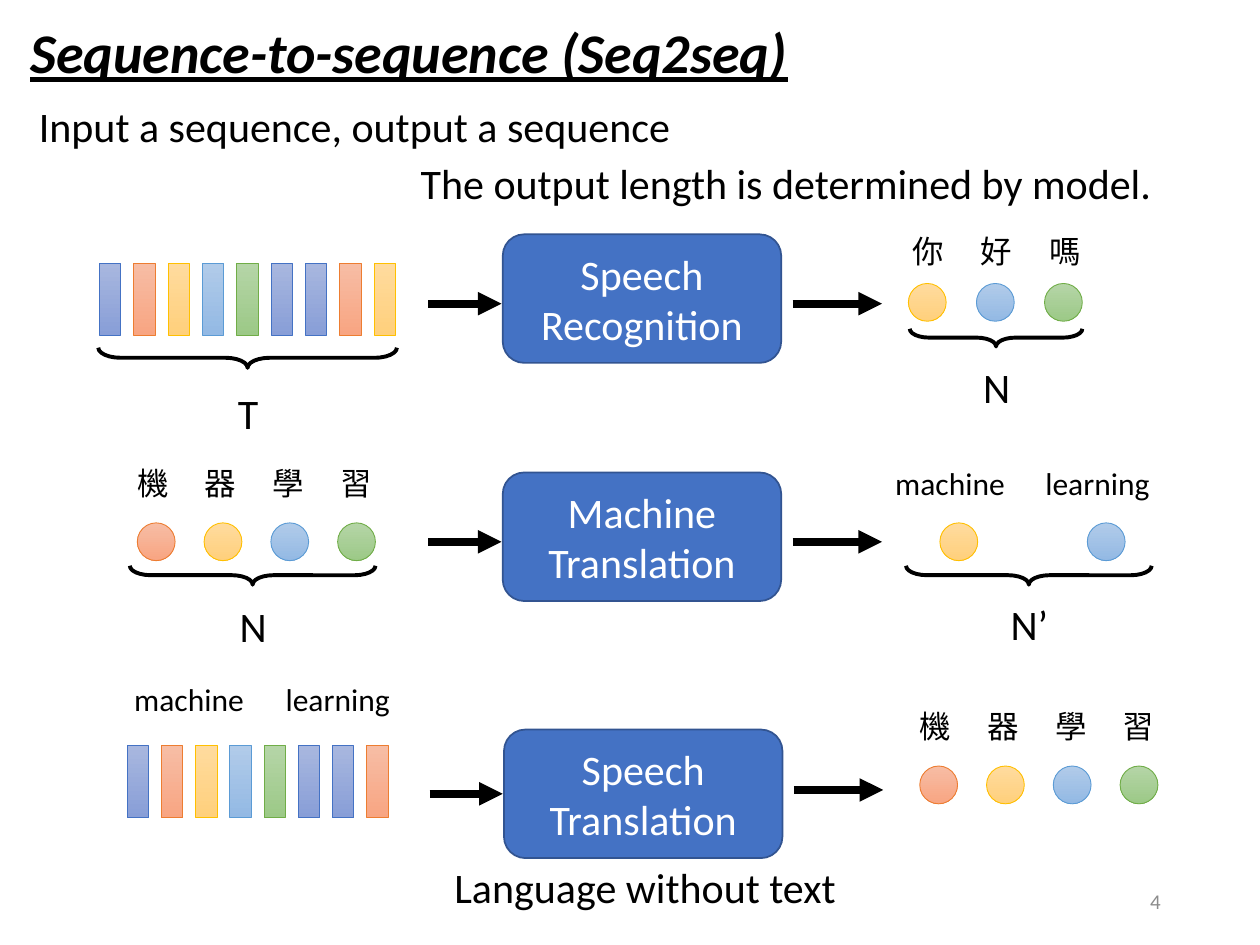
import dataclasses

import pptx
import pptx.dml.color
import pptx.enum.dml
import pptx.enum.shapes
import pptx.enum.text
import pptx.oxml.ns
import pptx.util
from lxml import etree
from pptx.util import Inches

ALIGN = pptx.enum.text.PP_ALIGN
ANCHOR = pptx.enum.text.MSO_ANCHOR
SHAPE = pptx.enum.shapes.MSO_SHAPE


@dataclasses.dataclass(frozen=True)
class Theme:
    """Hold the colours, font and type sizes of the slide."""
    font: str = "Calibri"
    ink: str = "000000"
    white: str = "FFFFFF"
    muted: str = "8C8C8C"
    model_fill: str = "4472C4"
    model_line: str = "325491"
    title_size: int = 32
    text_size: int = 24
    label_size: int = 18
    number_size: int = 12
    tokens: tuple = (
        ("indigo", ("A8B7DF", "889ED7", "4472C4")),
        ("orange", ("F7BDA5", "F8A582", "ED7D31")),
        ("gold", ("FFDB9E", "FFD07C", "FFC000")),
        ("blue", ("B1CBE9", "93B9E4", "5B9BD5")),
        ("green", ("B5D5A7", "9CC987", "70AD47")),
    )


@dataclasses.dataclass(frozen=True)
class Box:
    """Describe a rectangle in inches."""
    left: float
    top: float
    width: float
    height: float

    def lengths(self):
        """Return the four lengths for a shape call."""
        return [Inches(value) for value in (self.left, self.top, self.width, self.height)]

    def spread(self, count, width):
        """Return equally spaced boxes of one width across this box."""
        pitch = (self.width - width) / (count - 1)
        return [Box(self.left + index * pitch, self.top, width, self.height) for index in range(count)]


THEME = Theme()
TOKENS = dict(THEME.tokens)
SPEECH = ["indigo", "orange", "gold", "blue", "green", "indigo", "indigo", "orange", "gold"]
CHARACTERS = ["orange", "gold", "blue", "green"]


def rgb(value):
    """Return a colour object for a hexadecimal value."""
    return pptx.dml.color.RGBColor.from_string(value)


def write(frame, lines, size, color=THEME.ink, align=ALIGN.CENTER, anchor=ANCHOR.TOP):
    """Fill a text frame with one paragraph per line and return its runs."""
    frame.word_wrap = True
    frame.vertical_anchor = anchor
    runs = []
    for index, line in enumerate(lines):
        paragraph = frame.add_paragraph() if index else frame.paragraphs[0]
        paragraph.alignment = align
        run = paragraph.add_run()
        run.text = line
        run.font.name = THEME.font
        run.font.size = pptx.util.Pt(size)
        run.font.color.rgb = rgb(color)
        runs.append(run)
    return runs


def add_text(slide, box, text, size=THEME.text_size, **style):
    """Add a wrapped text box."""
    write(slide.shapes.add_textbox(*box.lengths()).text_frame, [text], size, **style)


def add_outlined(slide, preset, box, color, width):
    """Add a shadowless preset shape with a coloured outline."""
    shape = slide.shapes.add_shape(preset, *box.lengths())
    shape.shadow.inherit = False
    shape.line.color.rgb = rgb(color)
    shape.line.width = pptx.util.Pt(width)
    return shape


def draw_tokens(slide, box, colors, preset, width):
    """Spread a row of gradient tokens across a box."""
    for color, place in zip(colors, box.spread(len(colors), width)):
        light, dark, outline = TOKENS[color]
        shape = add_outlined(slide, preset, place, outline, 0.5)
        shape.fill.gradient()
        shape.fill.gradient_angle = 270
        for stop, value in zip(shape.fill.gradient_stops, (light, dark)):
            stop.color.rgb = rgb(value)


def draw_bars(slide, box, colors):
    """Draw speech frames as bars."""
    draw_tokens(slide, box, colors, SHAPE.RECTANGLE, 0.17)


def draw_dots(slide, box, colors):
    """Draw text tokens as dots."""
    draw_tokens(slide, box, colors, SHAPE.OVAL, box.height)


def draw_labels(slide, box, words, width):
    """Spread centred token labels across a box."""
    for word, place in zip(words, box.spread(len(words), width)):
        add_text(slide, place, word, THEME.label_size)


def draw_brace(slide, box, text, label_gap):
    """Draw a downward brace over a box with its length label below."""
    center = box.left + box.width / 2
    middle = box.top + box.height / 2
    upright = Box(center - box.height / 2, middle - box.width / 2, box.height, box.width)
    brace = add_outlined(slide, SHAPE.RIGHT_BRACE, upright, THEME.ink, 2.25)
    brace.fill.background()
    brace.rotation = 90
    brace.adjustments[0] = 1.1
    add_text(slide, Box(center - 0.48, box.top + label_gap, 0.97, 0.5), text)


def draw_arrow(slide, start, end, height):
    """Draw a thick horizontal arrow."""
    arrow = slide.shapes.add_connector(
        pptx.enum.shapes.MSO_CONNECTOR.STRAIGHT,
        Inches(start), Inches(height), Inches(end), Inches(height))
    arrow.line.color.rgb = rgb(THEME.ink)
    arrow.line.width = pptx.util.Pt(4.5)
    etree.SubElement(arrow.line._get_or_add_ln(), pptx.oxml.ns.qn("a:tailEnd"), type="triangle")
    etree.SubElement(arrow._element.spPr, pptx.oxml.ns.qn("a:effectLst"))


def draw_model(slide, box, lines, input_drop=0.55, output_drop=0.55):
    """Draw a model block with an arrow in and an arrow out."""
    shape = add_outlined(slide, SHAPE.ROUNDED_RECTANGLE, box, THEME.model_line, 1)
    shape.fill.solid()
    shape.fill.fore_color.rgb = rgb(THEME.model_fill)
    write(shape.text_frame, lines, THEME.text_size, THEME.white, anchor=ANCHOR.MIDDLE)
    draw_arrow(slide, box.left - 0.59, box.left - 0.01, box.top + input_drop)
    draw_arrow(slide, box.left + 2.3, box.left + 3.01, box.top + output_drop)


def draw_header(slide, box):
    """Place the title and the two statements below it."""
    title = slide.shapes.title
    title.left, title.top, title.width, title.height = Box(box.left, box.top, 7.2, 0.64).lengths()
    title.text_frame.auto_size = pptx.enum.text.MSO_AUTO_SIZE.NONE
    run = write(title.text_frame, ["Sequence-to-sequence (Seq2seq)"], THEME.title_size, align=ALIGN.LEFT)[0]
    run.font.bold = run.font.italic = run.font.underline = True
    add_text(slide, Box(box.left + 0.07, box.top + 0.66, 6.38, 0.5),
             "Input a sequence, output a sequence", align=ALIGN.LEFT)
    add_text(slide, Box(box.left + 3.1, box.top + 1.11, 7.07, 0.5),
             "The output length is determined by model.", align=ALIGN.LEFT)


def draw_recognition(slide, box):
    """Draw speech recognition from sound frames to characters."""
    left, top = box.left, box.top
    draw_bars(slide, Box(left + 0.79, top + 0.3, 2.35, 0.57), SPEECH)
    draw_brace(slide, Box(left + 0.78, top + 0.97, 2.37, 0.16), "T", 0.27)
    draw_model(slide, Box(left + 3.99, top + 0.07, 2.21, 1.02), ["Speech", "Recognition"])
    draw_labels(slide, Box(left + 7.06, top, 1.7, 0.4), "你好嗎", 0.61)
    draw_dots(slide, Box(left + 7.21, top + 0.46, 1.38, 0.3), ["gold", "blue", "green"])
    draw_brace(slide, Box(left + 7.22, top + 0.82, 1.37, 0.14), "N", 0.21)


def draw_character_tokens(slide, box):
    """Draw four characters above their dots."""
    draw_labels(slide, Box(box.left, box.top, 2.22, 0.4), "機器學習", 0.61)
    draw_dots(slide, Box(box.left + 0.18, box.top + 0.52, 1.89, 0.3), CHARACTERS)


def draw_machine_translation(slide, box):
    """Draw machine translation from characters to words."""
    left, top = box.left, box.top
    draw_character_tokens(slide, Box(left + 0.91, top, 2.22, 0.82))
    draw_brace(slide, Box(left + 1.03, top + 0.86, 1.95, 0.15), "N", 0.23)
    draw_model(slide, Box(left + 3.99, top + 0.12, 2.21, 1.02), ["Machine", "Translation"])
    draw_labels(slide, Box(left + 6.78, top, 2.69, 0.4), ["machine", "learning"], 1.52)
    draw_dots(slide, Box(left + 7.46, top + 0.52, 1.47, 0.3), ["gold", "blue"])
    draw_brace(slide, Box(left + 7.19, top + 0.86, 1.95, 0.15), "N’", 0.21)


def draw_speech_translation(slide, box):
    """Draw speech translation from sound frames to characters."""
    left, top = box.left, box.top
    draw_labels(slide, Box(left + 0.74, top, 2.7, 0.4), ["machine", "learning"], 1.52)
    draw_bars(slide, Box(left + 1.01, top + 0.57, 2.07, 0.57), SPEECH[:-1])
    draw_model(slide, Box(left + 4, top + 0.44, 2.21, 1.02), ["Speech", "Translation"], 0.51, 0.48)
    draw_character_tokens(slide, Box(left + 7.12, top + 0.21, 2.22, 0.82))
    add_text(slide, Box(left + 2.83, top + 1.44, 4.58, 0.5), "Language without text")


def main():
    """Build and save the slide."""
    presentation = pptx.Presentation()
    presentation.slide_width, presentation.slide_height = Inches(10), Inches(7.5)
    slide = presentation.slides.add_slide(presentation.slide_layouts[5])
    draw_header(slide, Box(0.14, 0.09, 9.86, 1.61))
    draw_recognition(slide, Box(0, 1.79, 10, 1.74))
    draw_machine_translation(slide, Box(0, 3.63, 10, 1.59))
    draw_speech_translation(slide, Box(0, 5.35, 10, 1.94))
    add_text(slide, Box(7.06, 6.95, 2.25, 0.4), "4", THEME.number_size,
             color=THEME.muted, align=ALIGN.RIGHT, anchor=ANCHOR.MIDDLE)
    presentation.save("out.pptx")


if __name__ == "__main__":
    main()
